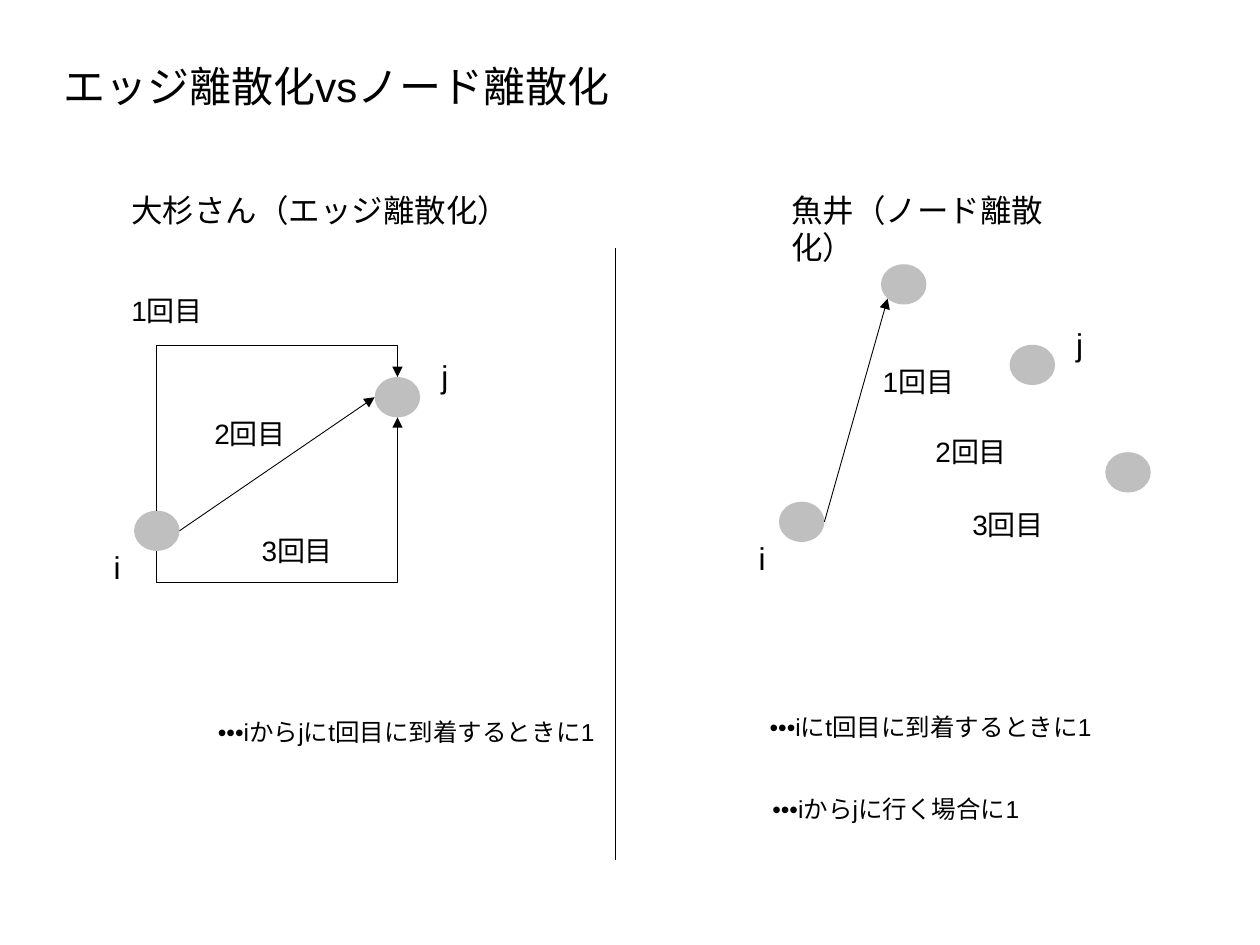
import math
from dataclasses import dataclass

import pptx
import pptx.dml.color
import pptx.enum.shapes
import pptx.enum.text
import pptx.oxml
import pptx.oxml.ns
import pptx.util

Pt = pptx.util.Pt
qn = pptx.oxml.ns.qn
NS = pptx.oxml.ns.nsdecls("a")
KIND = pptx.enum.shapes.MSO_CONNECTOR


@dataclass(frozen=True)
class Theme:
    font: str = "Arial"
    ink: str = "000000"
    node: str = "BFBFBF"
    title: int = 24
    head: int = 18
    label: int = 16
    note: int = 14
    line: float = 0.5


THEME = Theme()
NODE_W, NODE_H = 26, 23


def color(code):
    return pptx.dml.color.RGBColor.from_string(code)


def add_xml(parent, text):
    parent.append(pptx.oxml.parse_xml(text))


def write(frame, text, size=THEME.label, ink=THEME.ink, font=THEME.font):
    frame.word_wrap = True
    frame.auto_size = pptx.enum.text.MSO_AUTO_SIZE.NONE
    frame.vertical_anchor = pptx.enum.text.MSO_ANCHOR.TOP
    para = frame.paragraphs[0]
    para.alignment = pptx.enum.text.PP_ALIGN.LEFT
    run = para.add_run()
    run.text = text
    run.font.size = Pt(size)
    run.font.name = font
    run.font.color.rgb = color(ink)
    add_xml(run.font._element, f'<a:ea {NS} typeface="{font}"/>')


def add_text(slide, x, y, w, h, text, **style):
    box = slide.shapes.add_textbox(Pt(x), Pt(y), Pt(w), Pt(h))
    write(box.text_frame, text, **style)


def add_line(slide, start, end, kind=KIND.STRAIGHT, arrow=True):
    points = [Pt(v) for v in (*start, *end)]
    line = slide.shapes.add_connector(kind, *points)
    line.line.color.rgb = color(THEME.ink)
    line.line.width = Pt(THEME.line)
    if arrow:
        add_xml(line.line._get_or_add_ln(), f'<a:tailEnd {NS} type="triangle"/>')
    add_xml(line._element.spPr, f"<a:effectLst {NS}/>")
    return line


def add_elbow(slide, start, end, level):
    """Go from start up or down to level, across, and on to end."""
    (x1, y1), (x2, y2) = start, end
    wide, tall = x2 - x1, y1 - y2
    line = add_line(slide, start, end, KIND.ELBOW)
    line.left, line.top = Pt((x1 + x2 - tall) / 2), Pt((y1 + y2 - wide) / 2)
    line.width, line.height = Pt(tall), Pt(wide)
    props = line._element.spPr
    turn = props.find(qn("a:xfrm"))
    for name, value in (("rot", "5400000"), ("flipH", "1"), ("flipV", "1")):
        turn.set(name, value)
    bend = round((y1 - level) / tall * 100000)
    guides = props.find(qn("a:prstGeom")).get_or_add_avLst()
    add_xml(guides, f'<a:gd {NS} name="adj1" fmla="val {bend}"/>')


def add_node(slide, x, y):
    """Draw a node and return its centre."""
    oval = pptx.enum.shapes.MSO_SHAPE.OVAL
    node = slide.shapes.add_shape(oval, Pt(x), Pt(y), Pt(NODE_W), Pt(NODE_H))
    node.shadow.inherit = False
    node.fill.solid()
    node.fill.fore_color.rgb = color(THEME.node)
    node.line.fill.background()
    return x + NODE_W / 2, y + NODE_H / 2


def rim(node, angle):
    """Point on the edge of a node, with degrees clockwise from the right."""
    turn = math.radians(angle)
    return (node[0] + NODE_W / 2 * math.cos(turn),
            node[1] + NODE_H / 2 * math.sin(turn))


def add_pair(slide, first, last):
    """Draw the named nodes i and j and return their centres."""
    for name, (x, y), dx, dy in (("i", first, -18.7, 17.6), ("j", last, 31, -15)):
        add_text(slide, x + dx, y + dy, 31, 29, name, size=THEME.head)
    return add_node(slide, *first), add_node(slide, *last)


def add_turns(slide, left, top, spots):
    for count, (x, y) in enumerate(spots, 1):
        add_text(slide, left + x, top + y, 75, 27, f"{count}回目")


def add_title(slide, left, top, width, height):
    title = slide.shapes.title
    title.left, title.top = Pt(left), Pt(top)
    title.width, title.height = Pt(width), Pt(height)
    write(title.text_frame, "エッジ離散化vsノード離散化", size=THEME.title)


def add_edges(slide, left, top):
    add_text(slide, left + 10, top + 0.4, 233, 29, "大杉さん（エッジ離散化）",
             size=THEME.head)
    i, j = add_pair(slide, (left + 18.6, top + 186.8), (left + 156.1, top + 110.5))
    add_line(slide, rim(i, 0), rim(j, 180))
    gap = 18
    over, under = rim(j, -90)[1] - gap, rim(i, 90)[1] + gap
    for angle, level in ((-90, over), (90, under)):
        add_elbow(slide, rim(i, angle), rim(j, angle), level)
    add_turns(slide, left, top, ((10, 59), (57.4, 129.7), (84.4, 196.4)))
    add_text(slide, left + 59.4, top + 301, 234, 25,
             "•••iからjにt回目に到着するときに1", size=THEME.note)


def add_nodes(slide, left, top):
    add_text(slide, left + 19, top + 0.4, 189.4, 29, "魚井（ノード離散化）",
             size=THEME.head)
    i, _ = add_pair(slide, (left + 19.1, top + 181.7), (left + 150.9, top + 92))
    peak = add_node(slide, left + 77.4, top + 46)
    add_node(slide, left + 205.6, top + 153.4)
    add_line(slide, rim(i, 0), rim(peak, 135))
    add_turns(slide, left, top, ((71.3, 99.5), (101.5, 139.8), (122.6, 181.6)))
    notes = ((6.7, 298.2, "•••iにt回目に到着するときに1"),
             (8.2, 345, "•••iからjに行く場合に1"))
    for x, y, text in notes:
        add_text(slide, left + x, top + y, 260.6, 25, text, size=THEME.note)


def main():
    deck = pptx.Presentation()
    deck.slide_width, deck.slide_height = Pt(720), Pt(540)
    slide = deck.slides.add_slide(deck.slide_layouts[5])
    add_title(slide, 29, 31, 487, 36)
    add_line(slide, (351.5, 142), (351.5, 491.3), arrow=False)
    add_edges(slide, 58, 105)
    add_nodes(slide, 426, 105)
    deck.save("out.pptx")


if __name__ == "__main__":
    main()
